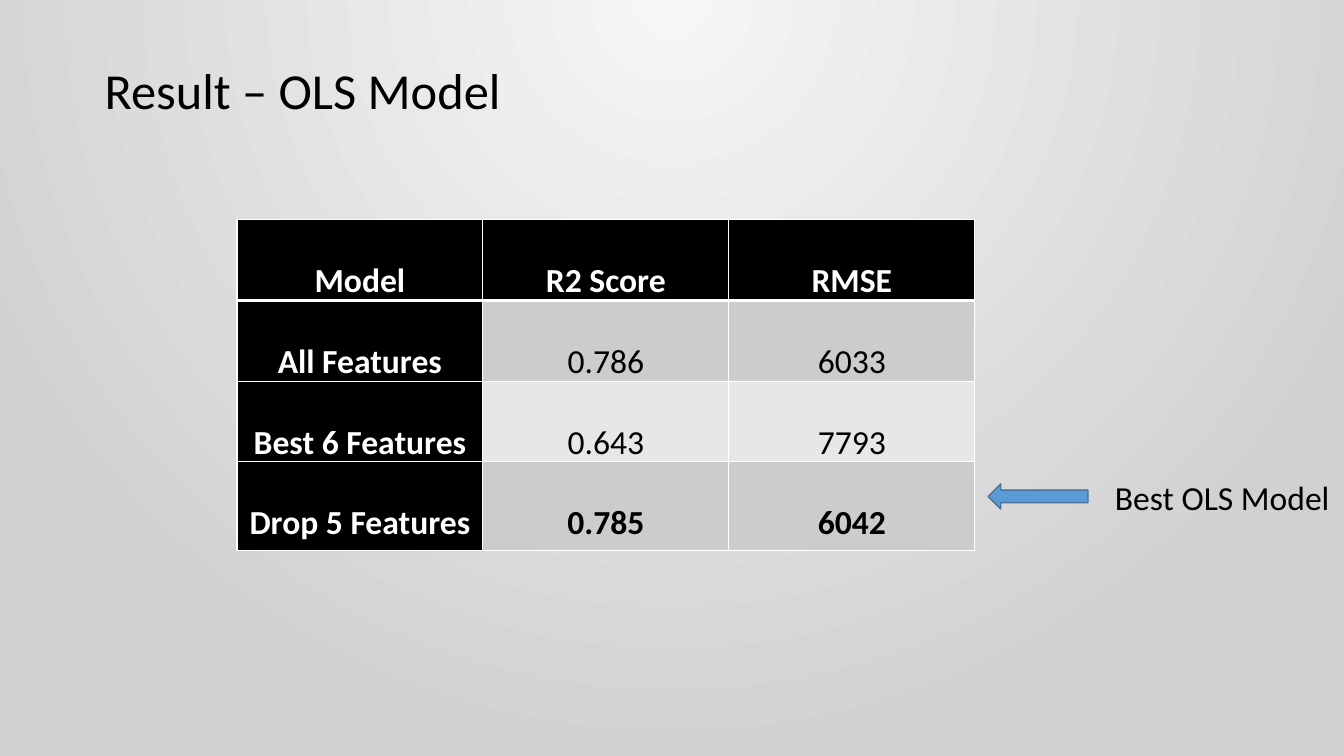
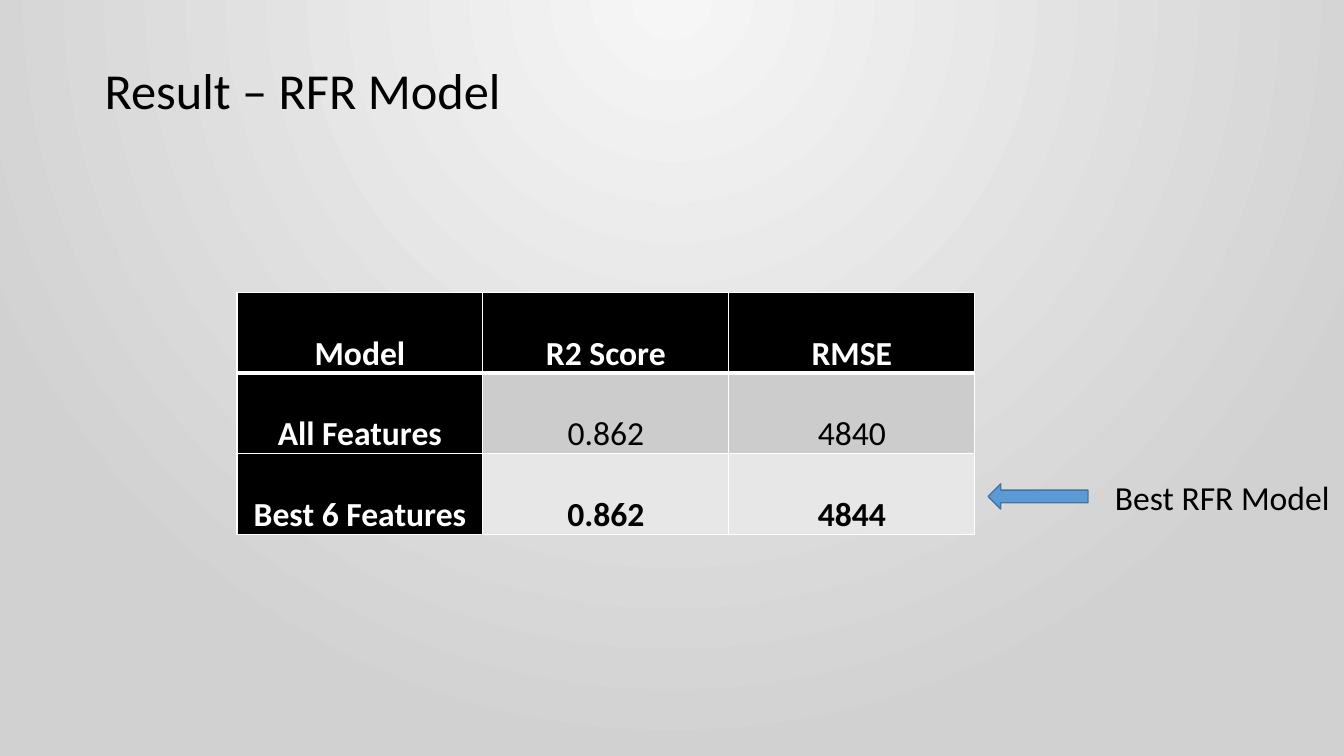
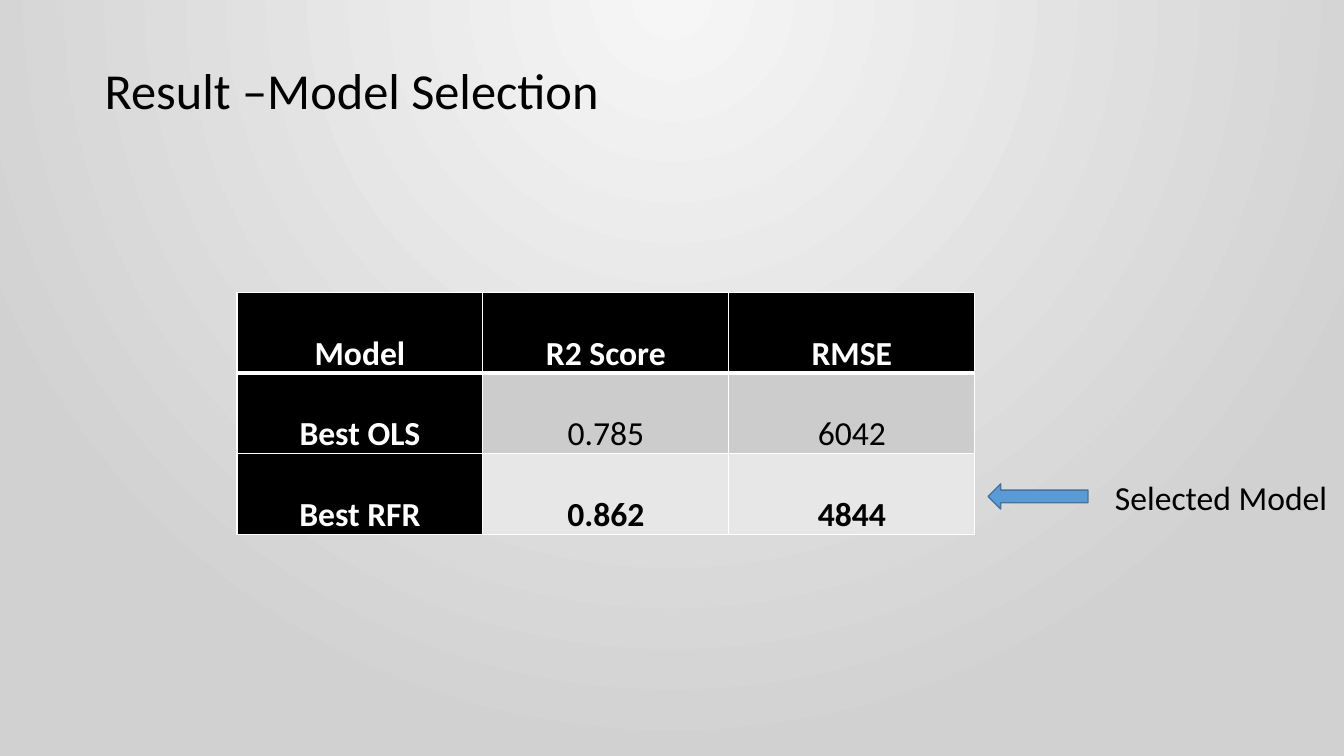
from dataclasses import dataclass

from lxml import etree
from pptx import Presentation
from pptx.dml.color import RGBColor
from pptx.enum.shapes import MSO_SHAPE
from pptx.enum.text import MSO_AUTO_SIZE, PP_ALIGN
from pptx.oxml.ns import qn
from pptx.util import Inches, Pt

ARROW = MSO_SHAPE.RIGHT_ARROW
GROW = MSO_AUTO_SIZE.SHAPE_TO_FIT_TEXT
LEFT, CENTER = PP_ALIGN.LEFT, PP_ALIGN.CENTER


@dataclass(frozen=True)
class Theme:
    font: str = "Calibri"
    title_size: int = 36
    body_size: int = 24
    ink: str = "000000"
    paper: str = "FFFFFF"
    bands: tuple = ("CCCCCC", "E7E7E7")
    glow: tuple = ("F6F6F6", "D2D1D1")
    arrow: str = "5B9BD5"
    arrow_line: str = "43739E"
    rule: int = 1
    header_rule: int = 3


THEME = Theme()
WIDTH, HEIGHT = Inches(13.33), Inches(7.5)
HEADER = ("Model", "R2 Score", "RMSE")
TABLE_LEFT, COLUMN, ROW = 17.63, 18.3, 10.13


def across(percent):
    return round(WIDTH * percent / 100)


def down(percent):
    return round(HEIGHT * percent / 100)


def box(left, top, width, height):
    return across(left), down(top), across(width), down(height)


def rgb(value):
    return RGBColor.from_string(value)


def write(tf, text, size=THEME.body_size, color=THEME.ink, bold=False,
          align=LEFT, spacing=None):
    p = tf.paragraphs[0]
    p.alignment = align
    p.line_spacing = spacing
    r = p.add_run()
    r.text = text
    r.font.name = THEME.font
    r.font.size = Pt(size)
    r.font.bold = bold
    r.font.color.rgb = rgb(color)


def paint_background(master):
    fill = master.background.fill
    fill.gradient()
    for stop, color, position in zip(fill.gradient_stops, THEME.glow, (0, 1)):
        stop.color.rgb = rgb(color)
        stop.position = position
    grad = next(master.element.iter(qn("a:gradFill")))
    grad.remove(grad.find(qn("a:lin")))
    circle = etree.SubElement(grad, qn("a:path"), {"path": "circle"})
    etree.SubElement(circle, qn("a:fillToRect"),
                     {"l": "43000", "t": "0", "r": "43000", "b": "100000"})


def add_text(slide, text, frame, **style):
    tf = slide.shapes.add_textbox(*frame).text_frame
    tf.word_wrap = True
    tf.auto_size = GROW
    write(tf, text, **style)


def set_borders(cell, **widths):
    props = cell._tc.get_or_add_tcPr()
    for i, side in enumerate("LRTB"):
        ln = etree.Element(qn(f"a:ln{side}"),
                           {"w": str(Pt(widths.get(side, THEME.rule)))})
        solid = etree.SubElement(ln, qn("a:solidFill"))
        etree.SubElement(solid, qn("a:srgbClr"), {"val": THEME.paper})
        props.insert(i, ln)


def fill_cell(cell, text, row, col, last):
    heading = row == 0 or col == 0
    cell.margin_left = cell.margin_right = Inches(0.07)
    cell.margin_top = cell.margin_bottom = 0
    cell.fill.solid()
    cell.fill.fore_color.rgb = rgb(THEME.ink if heading else THEME.bands[(row - 1) % 2])
    write(cell.text_frame, text, color=THEME.paper if heading else THEME.ink,
          bold=heading or row == last, align=CENTER, spacing=2.0)
    set_borders(cell, **{0: {"B": THEME.header_rule},
                         1: {"T": THEME.header_rule}}.get(row, {}))


def add_scores(slide, top, body, last_height):
    rows = (HEADER, *body)
    last = len(rows) - 1
    heights = [ROW] * last + [last_height]
    frame = box(TABLE_LEFT, top, COLUMN * len(HEADER), sum(heights))
    table = slide.shapes.add_table(len(rows), len(HEADER), *frame).table
    table.horz_banding = False
    for column in table.columns:
        column.width = across(COLUMN)
    for i, (values, height) in enumerate(zip(rows, heights)):
        table.rows[i].height = down(height)
        for j, text in enumerate(values):
            fill_cell(table.cell(i, j), text, i, j, last)


def add_callout(slide, text):
    sp = slide.shapes.add_shape(ARROW, *box(73.52, 64, 7.43, 3.33))
    sp.rotation = 180
    sp.shadow.inherit = False
    sp.fill.solid()
    sp.fill.fore_color.rgb = rgb(THEME.arrow)
    sp.line.color.rgb = rgb(THEME.arrow_line)
    sp.line.width = Pt(THEME.rule)
    add_text(slide, text, box(82.22, 62.4, 20.33, 6.67))


def add_result(prs, title, body, callout, top=38.67, last_height=ROW):
    slide = prs.slides.add_slide(prs.slide_layouts[6])
    add_text(slide, title, box(7.05, 7.2, 84.02, 9.47), size=THEME.title_size)
    add_scores(slide, top, body, last_height)
    add_callout(slide, callout)


def main():
    prs = Presentation()
    prs.slide_width, prs.slide_height = WIDTH, HEIGHT
    paint_background(prs.slide_master)
    add_result(prs, "Result – OLS Model",
               (("All Features", "0.786", "6033"),
                ("Best 6 Features", "0.643", "7793"),
                ("Drop 5 Features", "0.785", "6042")),
               "Best OLS Model", top=29.07, last_height=11.73)
    add_result(prs, "Result – RFR Model",
               (("All Features", "0.862", "4840"),
                ("Best 6 Features", "0.862", "4844")),
               "Best RFR Model")
    add_result(prs, "Result –Model Selection",
               (("Best OLS", "0.785", "6042"),
                ("Best RFR", "0.862", "4844")),
               "Selected Model")
    prs.save("out.pptx")


if __name__ == "__main__":
    main()
